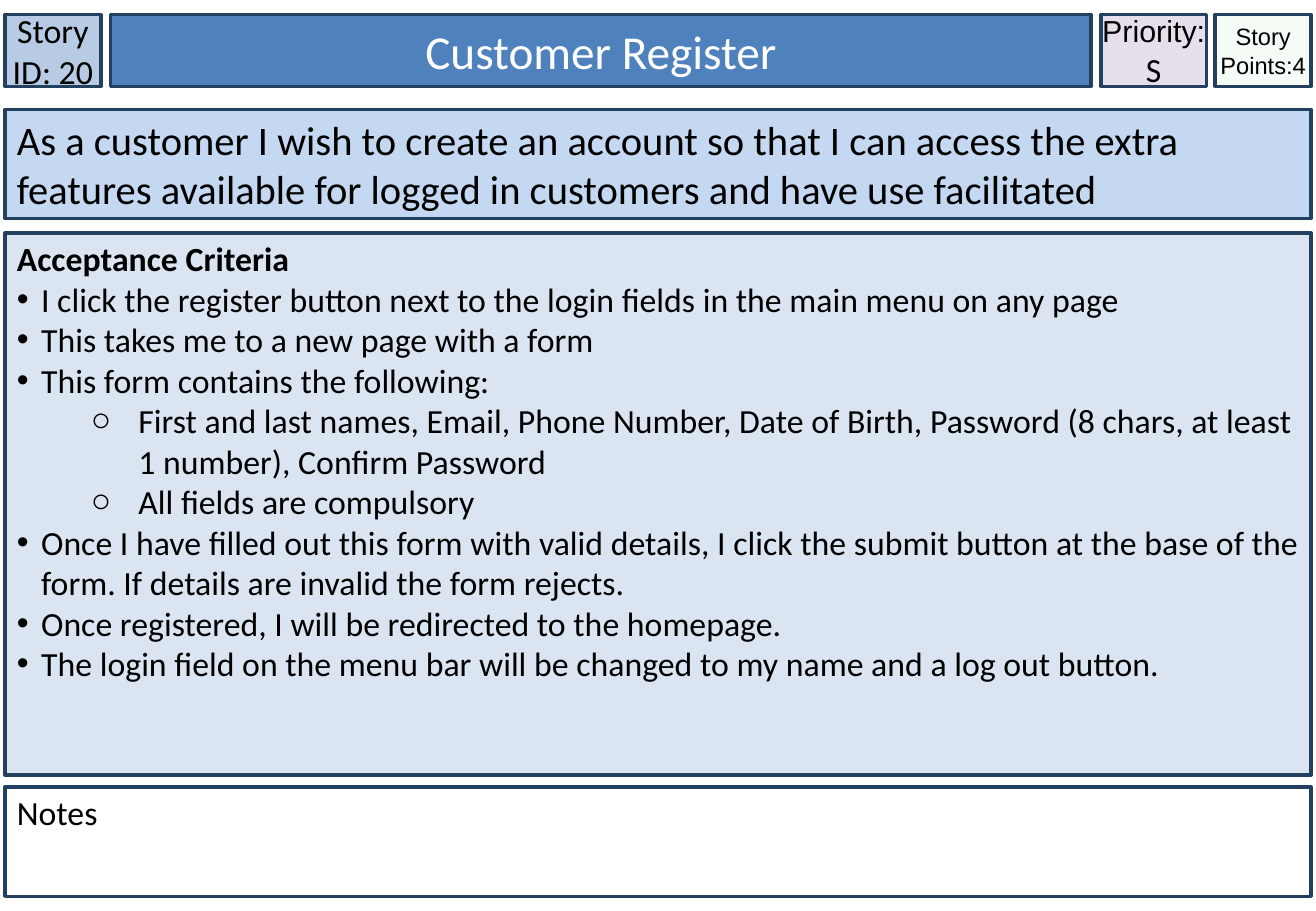
import lxml.etree
import pptx
import pptx.dml.color
import pptx.enum.shapes
import pptx.enum.text
import pptx.oxml.ns
import pptx.util

RGB = pptx.dml.color.RGBColor
ALIGN = pptx.enum.text.PP_ALIGN
ANCHOR = pptx.enum.text.MSO_ANCHOR
qn = pptx.oxml.ns.qn

PX = 9144
LEFT, FULL_WIDTH = 4, 1075
HEADER_TOP, HEADER_HEIGHT = 12, 59

BLACK = RGB(0x00, 0x00, 0x00)
WHITE = RGB(0xFF, 0xFF, 0xFF)
NAVY = RGB(0x24, 0x40, 0x61)
ID_BLUE = RGB(0xB7, 0xCC, 0xE4)
TITLE_BLUE = RGB(0x4F, 0x81, 0xBD)
STORY_BLUE = RGB(0xC5, 0xD8, 0xF1)
CRITERIA_BLUE = RGB(0xDA, 0xE5, 0xF1)
POINTS_GREEN = RGB(0xCC, 0xF0, 0xCD)
PRIORITY_LILAC = RGB(0xE5, 0xDF, 0xEC)

CRITERIA = [
    (0, "I click the register button next to the login fields in the main menu on any page"),
    (0, "This takes me to a new page with a form"),
    (0, "This form contains the following:"),
    (1, "First and last names, Email, Phone Number, Date of Birth, "
        "Password (8 chars, at least 1 number), Confirm Password"),
    (1, "All fields are compulsory"),
    (0, "Once I have filled out this form with valid details, I click the submit button "
        "at the base of the form. If details are invalid the form rejects."),
    (0, "Once registered, I will be redirected to the homepage."),
    (0, "The login field on the menu bar will be changed to my name and a log out button."),
]
BULLETS = [("•", 20, 20), ("○", 100, 39)]


def px(length):
    return pptx.util.Emu(length * PX)


def add_panel(slide, left, top, width, height, fill, opacity=100,
              side_inset=10, top_inset=5, anchor=ANCHOR.TOP):
    panel = slide.shapes.add_shape(
        pptx.enum.shapes.MSO_SHAPE.RECTANGLE, px(left), px(top), px(width), px(height))
    panel.shadow.inherit = False
    panel.fill.solid()
    panel.fill.fore_color.rgb = fill
    if opacity < 100:
        color = panel.fill._xPr.find(qn("a:solidFill"))[0]
        lxml.etree.SubElement(color, qn("a:alpha")).set("val", str(opacity * 1000))
    panel.line.color.rgb = NAVY
    panel.line.width = pptx.util.Pt(2)
    frame = panel.text_frame
    frame.word_wrap = True
    frame.vertical_anchor = anchor
    frame.margin_left = frame.margin_right = px(side_inset)
    frame.margin_top, frame.margin_bottom = px(top_inset), px(5)
    return frame


def add_header(slide, left, width, fill, side_inset=0, opacity=100):
    return add_panel(slide, left, HEADER_TOP, width, HEADER_HEIGHT, fill, opacity,
                     side_inset, anchor=ANCHOR.MIDDLE)


def write(paragraph, text, size=20, font="Calibri", color=BLACK, bold=False, align=ALIGN.LEFT):
    paragraph.alignment = align
    run = paragraph.add_run()
    run.text = text
    run.font.size = pptx.util.Pt(size)
    run.font.name = font
    run.font.color.rgb = color
    run.font.bold = bold


def set_bullet(paragraph, level):
    mark, indent, hanging = BULLETS[level]
    paragraph.level = level
    properties = paragraph._p.get_or_add_pPr()
    properties.set("marL", str(px(indent)))
    properties.set("indent", str(-px(hanging)))
    color = lxml.etree.SubElement(properties, qn("a:buClr"))
    lxml.etree.SubElement(color, qn("a:srgbClr")).set("val", str(BLACK))
    lxml.etree.SubElement(properties, qn("a:buFont")).set("typeface", "Arial")
    lxml.etree.SubElement(properties, qn("a:buChar")).set("char", mark)


def main():
    deck = pptx.Presentation()
    deck.slide_width, deck.slide_height = px(1083), px(750)
    slide = deck.slides.add_slide(deck.slide_layouts[6])

    story_id = add_header(slide, LEFT, 79, ID_BLUE)
    write(story_id.paragraphs[0], "Story ID: 20", align=ALIGN.CENTER)

    title = add_header(slide, 91, 807, TITLE_BLUE, side_inset=10)
    write(title.paragraphs[0], "Customer Register", size=28, color=WHITE, align=ALIGN.CENTER)

    story = add_panel(slide, LEFT, 90, FULL_WIDTH, 90, STORY_BLUE)
    write(story.paragraphs[0],
          "As a customer I wish to create an account so that I can access the extra "
          "features available for logged in customers and have use facilitated", size=24)

    criteria = add_panel(slide, LEFT, 192, FULL_WIDTH, 446, CRITERIA_BLUE, top_inset=4)
    write(criteria.paragraphs[0], "Acceptance Criteria", bold=True)
    for level, criterion in CRITERIA:
        paragraph = criteria.add_paragraph()
        write(paragraph, criterion)
        set_bullet(paragraph, level)

    points = add_header(slide, 1000, 79, POINTS_GREEN, opacity=20)
    write(points.paragraphs[0], "Story Points:4", size=14, font="Arial", align=ALIGN.CENTER)

    priority = add_header(slide, 906, 87, PRIORITY_LILAC)
    write(priority.paragraphs[0], "Priority:", size=18, font="Arial", align=ALIGN.CENTER)
    write(priority.paragraphs[0], "S", align=ALIGN.CENTER)

    notes = add_panel(slide, LEFT, 648, FULL_WIDTH, 90, WHITE, top_inset=4)
    write(notes.paragraphs[0], "Notes")

    deck.save("out.pptx")


if __name__ == "__main__":
    main()
